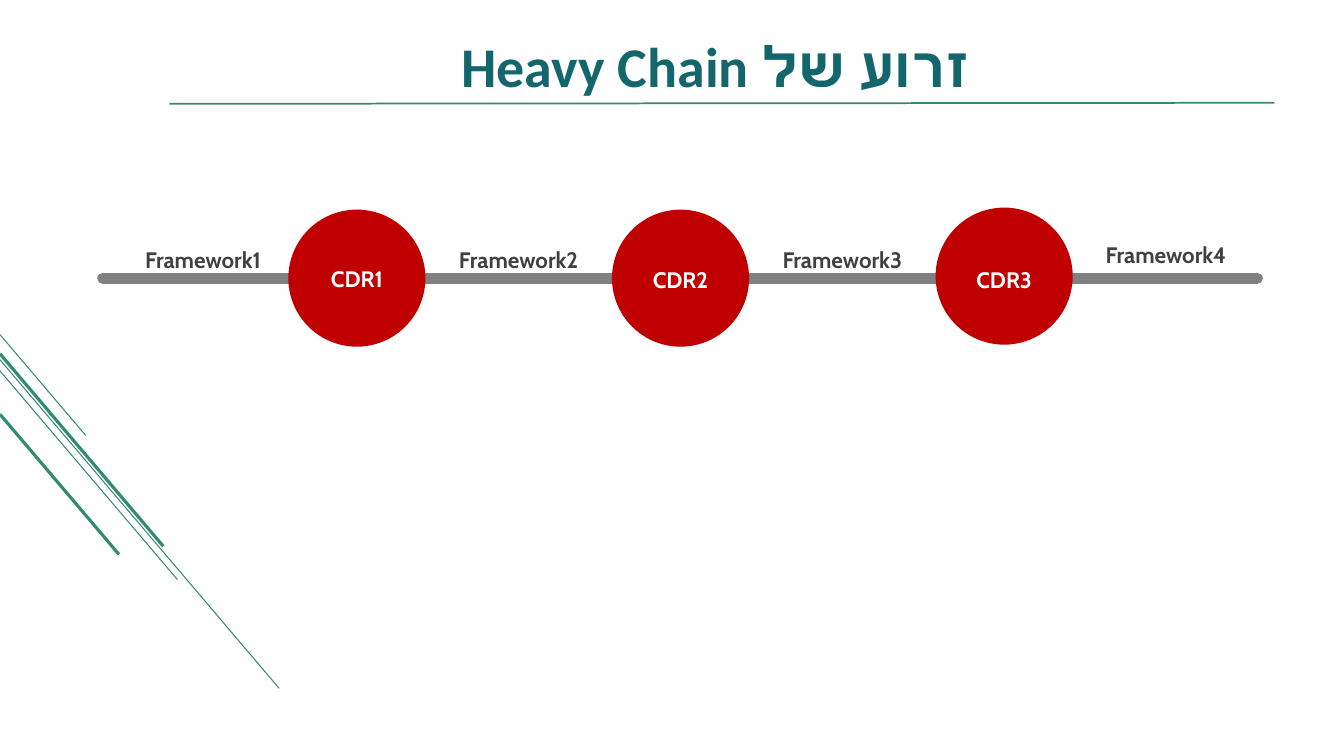
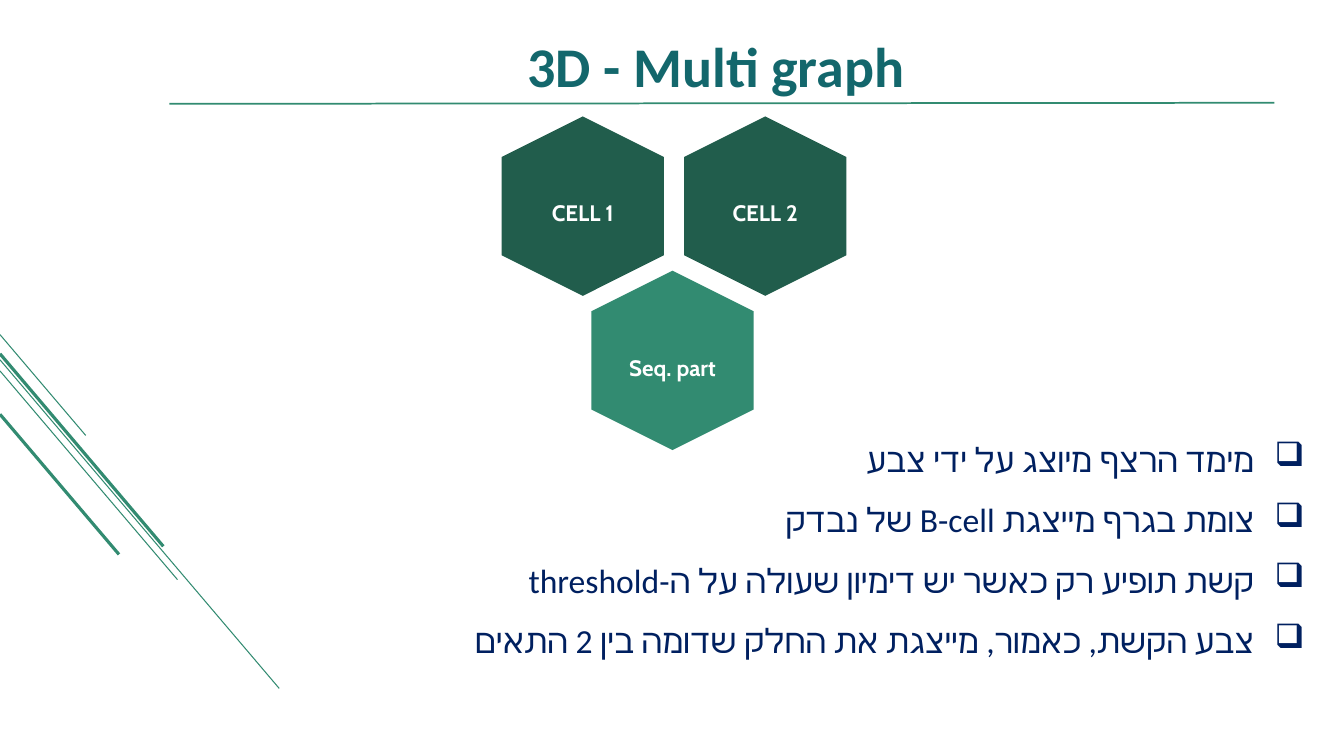
from lxml import etree
from pptx import Presentation
from pptx.dml.color import RGBColor
from pptx.enum.shapes import MSO_CONNECTOR, MSO_SHAPE
from pptx.enum.text import MSO_ANCHOR, MSO_AUTO_SIZE, PP_ALIGN
from pptx.oxml.ns import qn
from pptx.util import Inches, Pt

COLORS = {
    "background": "FFFFFF",
    "green": "328B71",
    "dark_green": "215D4C",
    "title": "13676C",
    "rail": "808080",
    "red": "C00000",
    "label": "404040",
    "white": "FFFFFF",
    "navy": "002060",
}
HEADING_FONT, LABEL_FONT = "Calibri", "Cabin"
LABEL_H = 0.37

# Corner strokes: x1, y1, x2, y2, width in points
STROKES = [
    (0, 3.32, 0.85, 4.32, 0.75),
    (0, 3.57, 2.77, 6.83, 0.75),
    (0, 3.68, 1.76, 5.75, 0.75),
    (0, 3.51, 1.62, 5.42, 2.25),
    (0, 4.11, 1.18, 5.5, 2.25),
]


def rgb(name):
    return RGBColor.from_string(COLORS[name])


def add_line(s, x1, y1, x2, y2, color, width, round_cap=False):
    line = s.shapes.add_connector(
        MSO_CONNECTOR.STRAIGHT, Inches(x1), Inches(y1), Inches(x2), Inches(y2))
    line.line.color.rgb = rgb(color)
    line.line.width = Pt(width)
    if round_cap:
        line.line._get_or_add_ln().set("cap", "rnd")
    etree.SubElement(line._element.spPr, qn("a:effectLst"))
    return line


def add_solid(s, kind, x, y, w, h, color, rotation=0):
    sp = s.shapes.add_shape(kind, Inches(x), Inches(y), Inches(w), Inches(h))
    sp.shadow.inherit = False
    sp.fill.solid()
    sp.fill.fore_color.rgb = rgb(color)
    sp.line.fill.background()
    sp.rotation = rotation
    return sp


def set_bullet(p, char, indent):
    pPr = p._p.get_or_add_pPr()
    pPr.set("marL", str(Inches(indent)))
    pPr.set("indent", str(-Inches(indent)))
    etree.SubElement(pPr, qn("a:buChar")).set("char", char)


def add_text(s, text, x, y, w, h, *, size=16, font=LABEL_FONT, color="label",
             bold=True, align=PP_ALIGN.CENTER, anchor=MSO_ANCHOR.TOP,
             rtl=False, bullet=None, spacing=None, inset=None, grow=True):
    """Add a text box; each line of the text becomes a paragraph."""
    box = s.shapes.add_textbox(Inches(x), Inches(y), Inches(w), Inches(h))
    tf = box.text_frame
    tf.word_wrap = True
    tf.auto_size = MSO_AUTO_SIZE.SHAPE_TO_FIT_TEXT if grow else MSO_AUTO_SIZE.NONE
    tf.vertical_anchor = anchor
    if inset is not None:
        tf.margin_left = tf.margin_right = Inches(inset)
        tf.margin_top = tf.margin_bottom = Inches(inset)
    for i, line in enumerate(text.split("\n")):
        p = tf.paragraphs[0] if i == 0 else tf.add_paragraph()
        if bullet:
            set_bullet(p, bullet, 0.5)
        p.alignment = align
        if rtl:
            p._p.get_or_add_pPr().set("rtl", "1")
        if spacing:
            p.line_spacing = spacing
        r = p.add_run()
        r.text = line
        r.font.size = Pt(size)
        r.font.name = font
        r.font.bold = bold
        r.font.color.rgb = rgb(color)
        etree.SubElement(r._r.rPr, qn("a:cs")).set("typeface", font)
    return box


def new_slide(prs, title):
    """Add a slide with the shared background, corner strokes and ruled title."""
    s = prs.slides.add_slide(prs.slide_layouts[6])
    s.background.fill.solid()
    s.background.fill.fore_color.rgb = rgb("background")
    for x1, y1, x2, y2, width in STROKES:
        add_line(s, x1, y1, x2, y2, "green", width)
    add_line(s, 1.68, 1.03, 12.64, 1.02, "green", 1.25)
    add_text(s, title, 1.62, 0.22, 10.96, 0.85, size=40, font=HEADING_FONT,
             color="title", anchor=MSO_ANCHOR.MIDDLE, rtl=True, grow=False)
    return s


def add_chain(s, x, y, w):
    """Draw the rail from (x, y) with its CDR circles and framework labels."""
    pitch, diameter, label_w = 3.21, 1.36, 1.67
    add_line(s, x + w, y, x, y, "rail", 8, round_cap=True)
    # Top of each circle and of its label, relative to the rail
    for i, (top, label_top) in enumerate([(-0.68, -0.18), (-0.68, -0.17), (-0.7, -0.17)]):
        left = x + 1.84 + i * pitch
        add_solid(s, MSO_SHAPE.OVAL, left, y + top, diameter, diameter, "red")
        add_text(s, f"CDR{i + 1}", left + (diameter - label_w) / 2, y + label_top,
                 label_w, LABEL_H, color="white")
    # Place of each framework label, relative to the rail's left end
    for i, (dx, dy) in enumerate([(0.16, -0.37), (3.29, -0.37), (6.5, -0.37), (9.71, -0.42)]):
        add_text(s, f"Framework{i + 1}", x + dx, y + dy, label_w, LABEL_H)


def add_honeycomb(s, x, y):
    """Draw three upright hexagons, two above one, in a box starting at (x, y)."""
    long_side, short_side = 1.78, 1.61
    cells = [
        ("CELL 2", 1.81, 0, "dark_green"),
        ("CELL 1", 0, 0, "dark_green"),
        ("Seq. part", 0.89, 1.53, "green"),
    ]
    for text, dx, dy, color in cells:
        left, top = x + dx, y + dy
        add_solid(s, MSO_SHAPE.HEXAGON, left, top, long_side, short_side, color, rotation=90)
        add_text(s, text, left + (long_side - short_side) / 2, top + 0.69,
                 short_side, LABEL_H, color="white")


def add_bullets(s, lines, x, y, w, h):
    add_text(s, "\n".join(lines), x, y, w, h, size=24, font=HEADING_FONT,
             color="navy", bold=False, align=PP_ALIGN.RIGHT,
             anchor=MSO_ANCHOR.BOTTOM, rtl=True, bullet="❑", spacing=1.5, inset=0)


def heavy_chain_slide(prs):
    s = new_slide(prs, "זרוע של Heavy Chain")
    add_chain(s, 1.02, 2.76, 11.45)


def multi_graph_slide(prs):
    s = new_slide(prs, "3D - Multi graph")
    add_honeycomb(s, 4.89, 1.24)
    add_bullets(s, [
        "מימד הרצף מיוצג על ידי צבע",
        "צומת בגרף מייצגת B-cell של נבדק",
        "קשת תופיע רק כאשר יש דימיון שעולה על ה-threshold",
        "צבע הקשת, כאמור, מייצגת את החלק שדומה בין 2 התאים",
    ], 3.88, 4.19, 9.06, 2.36)


def main():
    prs = Presentation()
    prs.slide_width, prs.slide_height = Inches(13.33), Inches(7.5)
    heavy_chain_slide(prs)
    multi_graph_slide(prs)
    prs.save("out.pptx")


if __name__ == "__main__":
    main()
